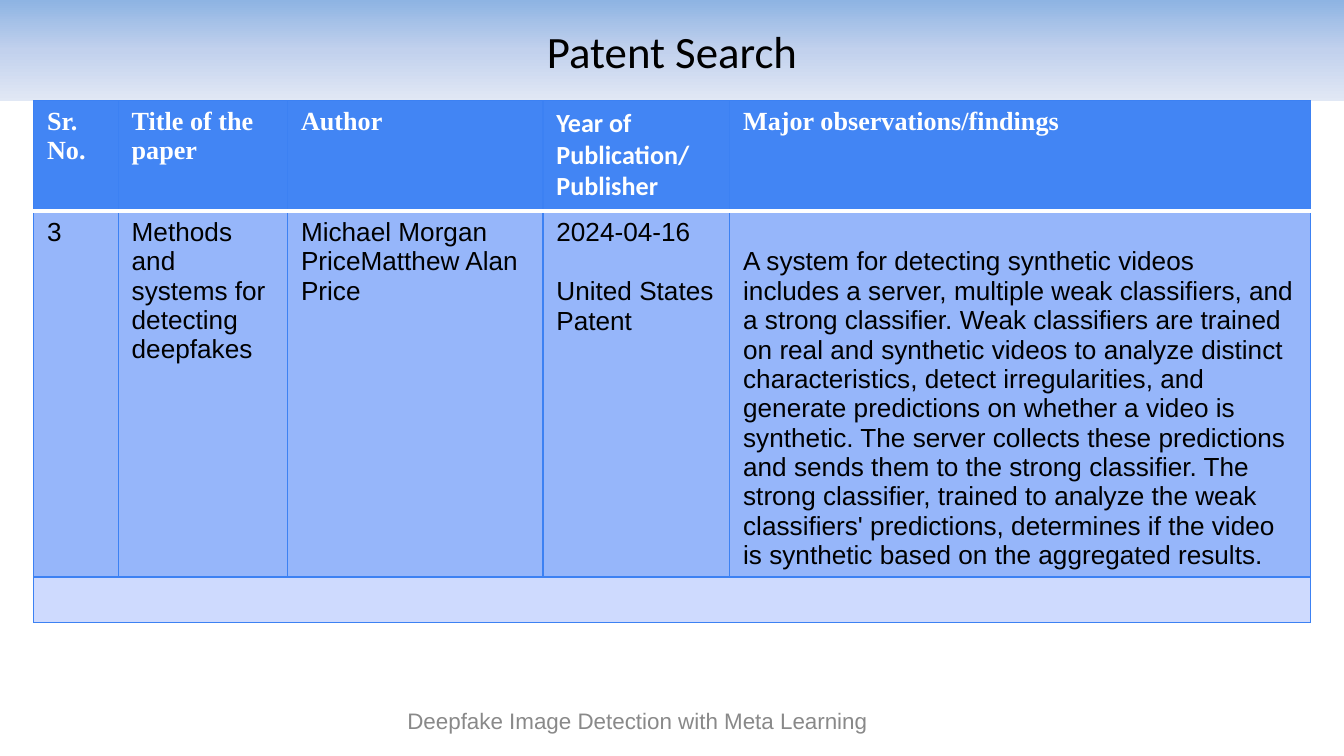
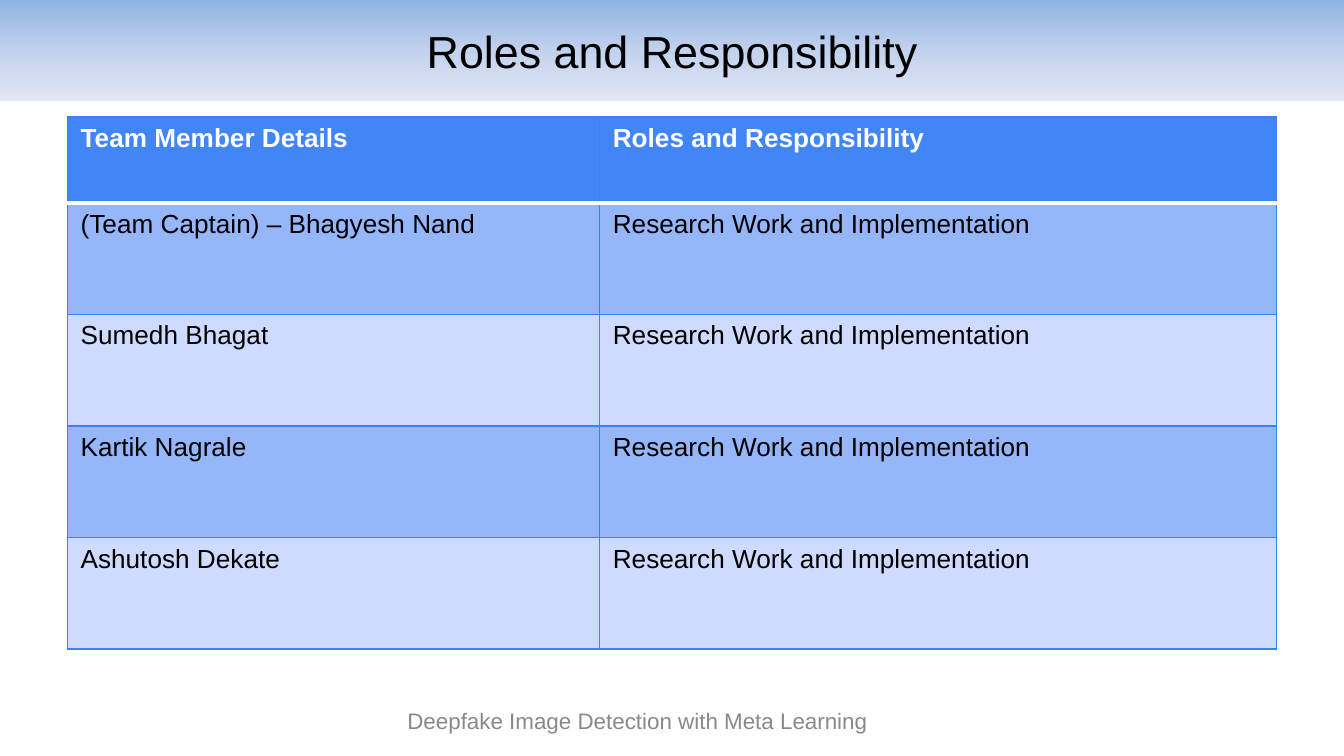
from copy import deepcopy
from lxml.etree import SubElement
from pptx import Presentation
from pptx.dml.color import RGBColor
from pptx.enum.text import MSO_ANCHOR, PP_ALIGN
from pptx.oxml.ns import qn
from pptx.util import Inches, Pt

BLACK = RGBColor(0x00, 0x00, 0x00)
WHITE = RGBColor(0xFF, 0xFF, 0xFF)
GREY = RGBColor(0x89, 0x89, 0x89)
HEADER = RGBColor(0x42, 0x85, 0xF4)
BORDER = RGBColor(0x3C, 0x81, 0xF3)
BAND_DARK = RGBColor(0x96, 0xB6, 0xFA)
BAND_LIGHT = RGBColor(0xCE, 0xDA, 0xFE)
TITLE_STOPS = [
    (0, RGBColor(0x8E, 0xB4, 0xE3)),
    (0.5, RGBColor(0xC2, 0xD1, 0xED)),
    (1, RGBColor(0xE1, 0xE8, 0xF5)),
]
FOOTER = "Deepfake Image Detection with Meta Learning"
ROLE = "Research Work and Implementation"
SERIF = "Times New Roman"

FINDINGS = (
    "A system for detecting synthetic videos includes a server, multiple weak "
    "classifiers, and a strong classifier. Weak classifiers are trained on real and "
    "synthetic videos to analyze distinct characteristics, detect irregularities, and "
    "generate predictions on whether a video is synthetic. The server collects these "
    "predictions and sends them to the strong classifier. The strong classifier, "
    "trained to analyze the weak classifiers' predictions, determines if the video is "
    "synthetic based on the aggregated results."
)
MEMBERS = ["(Team Captain) – Bhagyesh Nand", "Sumedh Bhagat", "Kartik Nagrale", "Ashutosh Dekate"]

SLIDES = [
    {
        "title": "Patent Search",
        "title_font": "Calibri",
        "at": (0.25, 0.75),
        "cols": [0.63, 1.26, 1.9, 1.39, 4.32],
        "heights": [0.82, 1.84, 0.34],
        "header_fonts": [SERIF, SERIF, SERIF, "Calibri", SERIF],
        "rows": [
            ["Sr. No.", "Title of the paper", "Author", "Year of Publication/ Publisher",
             "Major observations/findings"],
            ["3", "Methods and systems for detecting deepfakes",
             "Michael Morgan PriceMatthew Alan Price",
             "2024-04-16\nUnited States Patent", FINDINGS],
            [""] * 5,
        ],
    },
    {
        "title": "Roles and Responsibility",
        "title_font": "Arial",
        "at": (0.5, 0.87),
        "cols": [3.96, 5.04],
        "heights": [0.64] + [0.83] * len(MEMBERS),
        "header_fonts": ["Arial", "Arial"],
        "rows": [["Team Member Details", "Roles and Responsibility"]]
        + [[name, ROLE] for name in MEMBERS],
    },
]


def write(tf, text, size=14, font="Arial", color=BLACK, bold=False, align=None, gap=0):
    tf.word_wrap = True
    for i, line in enumerate(text.split("\n")):
        p = tf.add_paragraph() if i else tf.paragraphs[0]
        p.alignment = align
        if i:
            p.space_before = Pt(gap)
        r = p.add_run()
        r.text = line
        r.font.size = Pt(size)
        r.font.name = font
        r.font.bold = bold
        r.font.color.rgb = color


def set_border(cell, side, color, width):
    ln = SubElement(cell._tc.get_or_add_tcPr(), qn(f"a:ln{side}"), w=str(Pt(width)))
    fill = SubElement(ln, qn("a:solidFill"))
    SubElement(fill, qn("a:srgbClr"), val=str(color))


prs = Presentation()
prs.slide_width = Inches(10)
prs.slide_height = prs.slide_width * 9 // 16

for data in SLIDES:
    s = prs.slides.add_slide(prs.slide_layouts[0])
    subtitle = s.placeholders[1]
    subtitle._element.getparent().remove(subtitle._element)

    title = s.shapes.title
    title.left, title.top = 0, 0
    title.width, title.height = prs.slide_width, Inches(0.75)
    title.fill.gradient()
    title.fill.gradient_angle = 270
    gs_list = title._element.spPr.find(qn("a:gradFill")).find(qn("a:gsLst"))
    gs_list.append(deepcopy(gs_list[0]))
    for stop, (position, color) in zip(title.fill.gradient_stops, TITLE_STOPS):
        stop.position = position
        stop.color.rgb = color
    title.text_frame.vertical_anchor = MSO_ANCHOR.MIDDLE
    write(title.text_frame, data["title"], size=24, font=data["title_font"],
          align=PP_ALIGN.CENTER)

    rows, cols, heights = data["rows"], data["cols"], data["heights"]
    left, top = data["at"]
    table = s.shapes.add_table(len(rows), len(cols), Inches(left), Inches(top),
                               Inches(sum(cols)), Inches(sum(heights))).table
    for column, width in zip(table.columns, cols):
        column.width = Inches(width)
    for i, (row, height) in enumerate(zip(rows, heights)):
        table.rows[i].height = Inches(height)
        for j, text in enumerate(row):
            cell = table.cell(i, j)
            for side in "LRTB":
                rule = (side == "B" and i == 0) or (side == "T" and i == 1)
                set_border(cell, side, WHITE if rule else BORDER, 2 if rule else 0.75)
            cell.fill.solid()
            if i == 0:
                cell.fill.fore_color.rgb = HEADER
                write(cell.text_frame, text, font=data["header_fonts"][j], color=WHITE, bold=True)
                continue
            cell.fill.fore_color.rgb = BAND_DARK if i % 2 else BAND_LIGHT
            if text:
                write(cell.text_frame, text, gap=16)
            else:
                cell.margin_top = cell.margin_bottom = 0
            if text == FINDINGS:
                cell.margin_top = Inches(0.27)
        if not any(row):
            table.cell(i, 0).merge(table.cell(i, len(cols) - 1))

    footer = s.shapes.add_textbox(Inches(0.82), Inches(5.21), Inches(7.85), Inches(0.3))
    footer.text_frame.vertical_anchor = MSO_ANCHOR.MIDDLE
    write(footer.text_frame, FOOTER, size=12, color=GREY, align=PP_ALIGN.CENTER)

prs.save("out.pptx")
